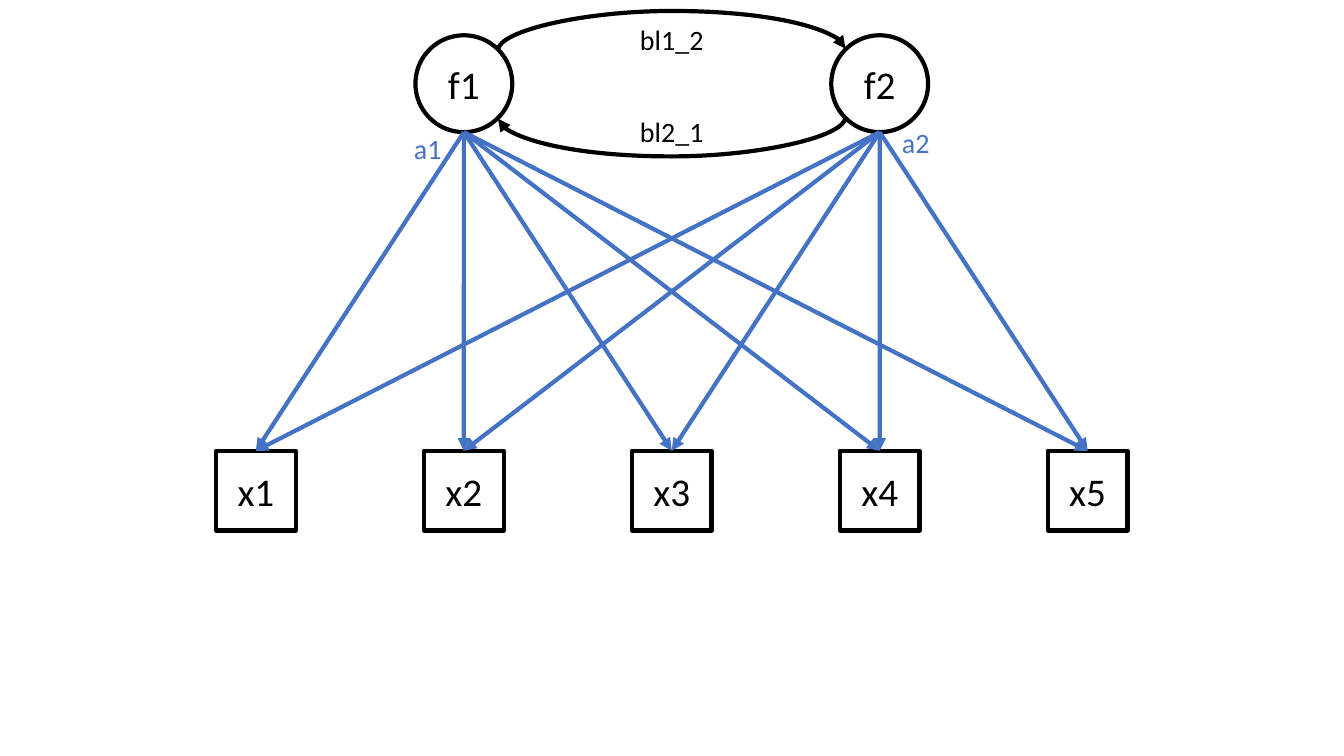
from lxml import etree
from pptx import Presentation
from pptx.dml.color import RGBColor
from pptx.enum import shapes, text
from pptx.oxml.ns import qn
from pptx.util import Cm, Pt

BLACK = RGBColor(0x00, 0x00, 0x00)
WHITE = RGBColor(0xFF, 0xFF, 0xFF)
BLUE = RGBColor(0x44, 0x72, 0xC4)
FONT = "Calibri"

INDICATORS = ["x1", "x2", "x3", "x4", "x5"]
FACTORS = [("f1", 1), ("f2", 3)]  # name, index of the indicator below it
# text, left, top, colour, alignment
LABELS = [
    ("a1", 10.18, 3.2, BLUE, text.PP_ALIGN.LEFT),
    ("a2", 22.48, 3.05, BLUE, text.PP_ALIGN.LEFT),
    ("bl1_2", 15.71, 0.45, BLACK, text.PP_ALIGN.CENTER),
    ("bl2_1", 15.71, 2.75, BLACK, text.PP_ALIGN.CENTER),
]

FIRST_X, PITCH = 6.45, 5.24
BOX, BOX_TOP = 2.01, 11.36
CIRCLE, CIRCLE_TOP = 2.44, 0.89
LABEL_W, LABEL_H = 2.44, 1.11
CURVE_SPAN, CURVE_DEPTH, CURVE_BULGE = 8.76, 0.04, 24.8
# Connection sites of an ellipse
TOP_LEFT, BOTTOM_LEFT, BOTTOM, BOTTOM_RIGHT, TOP_RIGHT = 1, 3, 4, 5, 7

prs = Presentation()
prs.slide_width, prs.slide_height = Cm(33.87), Cm(19.05)
s = prs.slides.add_slide(prs.slide_layouts[6])


def center_x(i):
    return FIRST_X + PITCH * i


def write(sp, words, size, color, align):
    p = sp.text_frame.paragraphs[0]
    p.text, p.alignment = words, align
    p.font.name, p.font.size = FONT, Pt(size)
    p.font.color.rgb = color


def add_node(kind, name, x, top, size):
    sp = s.shapes.add_shape(kind, Cm(x - size / 2), Cm(top), Cm(size), Cm(size))
    sp.shadow.inherit = False
    sp.line.color.rgb, sp.line.width = BLACK, Pt(3)
    sp.text_frame.vertical_anchor = text.MSO_ANCHOR.MIDDLE
    write(sp, name, 28, BLACK, text.PP_ALIGN.CENTER)
    return sp


def add_arrow(kind, x1, y1, x2, y2, color):
    c = s.shapes.add_connector(kind, Cm(x1), Cm(y1), Cm(x2), Cm(y2))
    c.line.color.rgb, c.line.width = color, Pt(3)
    etree.SubElement(c.line._get_or_add_ln(), qn("a:tailEnd"), type="triangle")
    etree.SubElement(c._element.spPr, qn("a:effectLst"))
    return c


def link(c, end, sp, site):
    """Join an end of a connector to any connection site of a shape."""
    props = c._element.find(".//" + qn("p:cNvCxnSpPr"))
    etree.SubElement(props, qn(end), id=str(sp.shape_id), idx=str(site))


def add_curve(y, turn, start, start_site, end, end_site):
    """Draw a flat arc as a quarter-turned S-connector; turn is 1 below, -1 above."""
    x = (center_x(FACTORS[0][1]) + center_x(FACTORS[1][1])) / 2
    dx, dy = turn * CURVE_DEPTH / 2, turn * CURVE_SPAN / 2
    c = add_arrow(shapes.MSO_CONNECTOR.CURVE, x - dx, y - dy, x + dx, y + dy, BLACK)
    c._element.spPr.find(qn("a:xfrm")).set("rot", "5400000")
    guides = c._element.spPr.find(qn("a:prstGeom")).get_or_add_avLst()
    etree.SubElement(guides, qn("a:gd"), name="adj1",
                     fmla=f"val {round(CURVE_BULGE * 100000)}")
    link(c, "a:stCxn", start, start_site)
    link(c, "a:endCxn", end, end_site)


boxes = []
for i, name in enumerate(INDICATORS):
    sp = add_node(shapes.MSO_SHAPE.RECTANGLE, name, center_x(i), BOX_TOP, BOX)
    sp.fill.solid()
    sp.fill.fore_color.rgb = WHITE
    boxes.append(sp)

circles = []
for name, column in FACTORS:
    sp = add_node(shapes.MSO_SHAPE.OVAL, name, center_x(column), CIRCLE_TOP, CIRCLE)
    sp.fill.background()
    circles.append(sp)
    for i, box in enumerate(boxes):
        c = add_arrow(shapes.MSO_CONNECTOR.STRAIGHT, center_x(column),
                      CIRCLE_TOP + CIRCLE, center_x(i), BOX_TOP, BLUE)
        link(c, "a:stCxn", sp, BOTTOM)
        c.end_connect(box, 0)

f1, f2 = circles
add_curve(1.25, -1, f1, TOP_RIGHT, f2, TOP_LEFT)
add_curve(2.97, 1, f2, BOTTOM_LEFT, f1, BOTTOM_RIGHT)

for words, left, top, color, align in LABELS:
    sp = s.shapes.add_textbox(Cm(left), Cm(top), Cm(LABEL_W), Cm(LABEL_H))
    sp.text_frame.word_wrap = True
    write(sp, words, 20, color, align)

prs.save("out.pptx")
